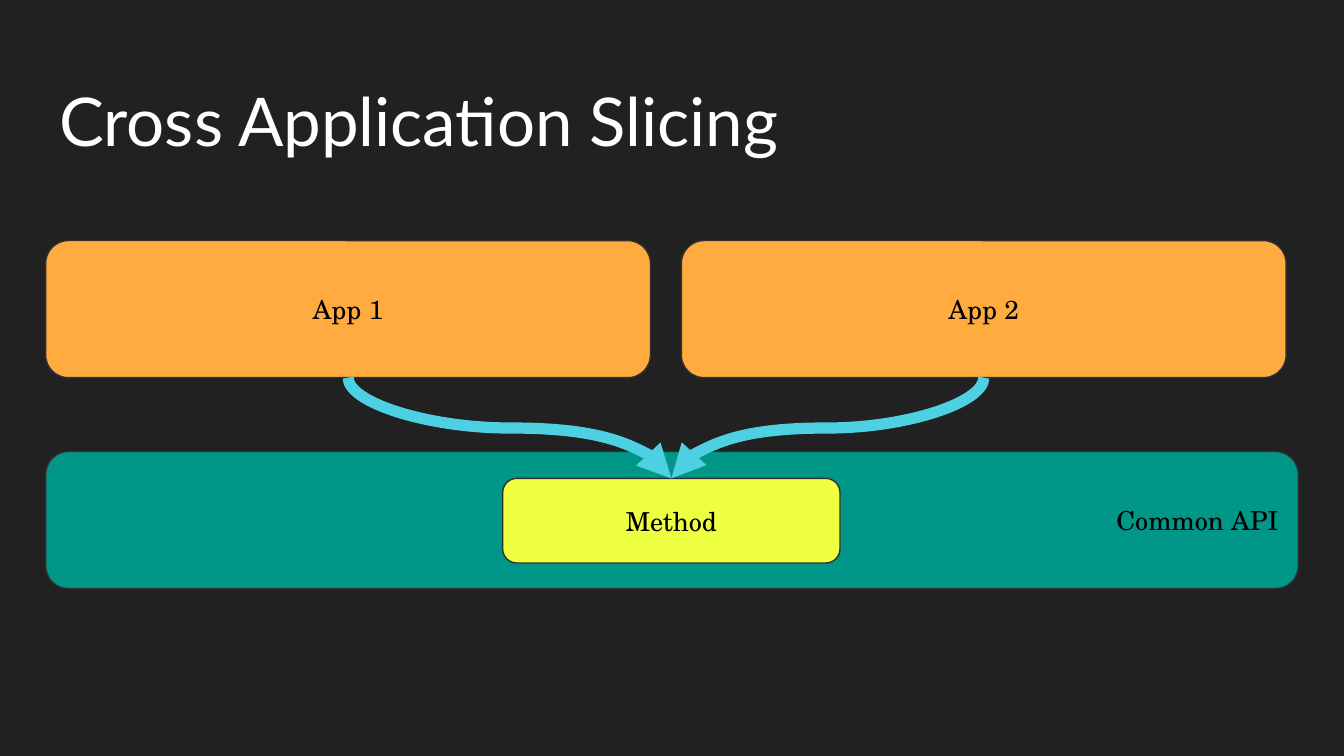
from lxml import etree
from pptx import Presentation
from pptx.dml.color import RGBColor
from pptx.enum.shapes import MSO_CONNECTOR, MSO_SHAPE
from pptx.enum.text import MSO_ANCHOR, MSO_AUTO_SIZE, PP_ALIGN
from pptx.oxml.ns import qn
from pptx.util import Inches, Pt

COLORS = {
    "background": "212121",
    "title": "FFFFFF",
    "text": "000000",
    "outline": "303030",
    "app": "FFAB40",
    "api": "009688",
    "method": "EEFF41",
    "arrow": "4DD0E1",
}


def color(name):
    return RGBColor.from_string(COLORS[name])


def write(shape, text, font_name, size, color_name, align, anchor):
    frame = shape.text_frame
    frame.text = text
    frame_format = {
        "word_wrap": True,
        "auto_size": MSO_AUTO_SIZE.NONE,
        "vertical_anchor": anchor,
        "margin_left": Inches(0.1),
        "margin_right": Inches(0.1),
        "margin_top": Inches(0.1),
        "margin_bottom": Inches(0.1),
    }
    for attribute, value in frame_format.items():
        setattr(frame, attribute, value)
    paragraph = frame.paragraphs[0]
    paragraph.alignment = align
    font = paragraph.runs[0].font
    for attribute, value in {"name": font_name, "size": Pt(size)}.items():
        setattr(font, attribute, value)
    font.color.rgb = color(color_name)


presentation = Presentation()
presentation.slide_width = Inches(10)
presentation.slide_height = Inches(10) * 9 // 16
slide = presentation.slides.add_slide(presentation.slide_layouts[5])
slide.background.fill.solid()
slide.background.fill.fore_color.rgb = color("background")

title = slide.shapes.title
title_box = {"left": 0.34, "top": 0.49, "width": 9.32, "height": 0.63}
for attribute, value in title_box.items():
    setattr(title, attribute, Inches(value))
write(title, "Cross Application Slicing", "Lato", 36, "title",
      PP_ALIGN.LEFT, MSO_ANCHOR.TOP)

boxes = [
    ("App 1", "app", 0.34, 1.79, 4.5, 1.02, PP_ALIGN.CENTER),
    ("Common API", "api", 0.34, 3.36, 9.32, 1.02, PP_ALIGN.RIGHT),
    ("App 2", "app", 5.07, 1.79, 4.5, 1.02, PP_ALIGN.CENTER),
    ("Method", "method", 3.74, 3.56, 2.51, 0.63, PP_ALIGN.CENTER),
]
shapes = {}
for text, fill_name, left, top, width, height, align in boxes:
    shape = slide.shapes.add_shape(
        MSO_SHAPE.ROUNDED_RECTANGLE,
        Inches(left), Inches(top), Inches(width), Inches(height))
    shape.shadow.inherit = False
    shape.fill.solid()
    shape.fill.fore_color.rgb = color(fill_name)
    shape.line.color.rgb = color("outline")
    shape.line.width = Pt(0.75)
    write(shape, text, "TeX Gyre Schola", 14, "text", align, MSO_ANCHOR.MIDDLE)
    shapes[text] = shape

method = shapes["Method"]
end_x, end_y = method.left + method.width // 2, method.top
for app_name, degrees, flip in [("App 1", 270, "1"), ("App 2", 90, "0")]:
    app = shapes[app_name]
    start_x, start_y = app.left + app.width // 2, app.top + app.height
    connector = slide.shapes.add_connector(
        MSO_CONNECTOR.CURVE, start_x, start_y, end_x, end_y)
    connector.begin_connect(app, 2)
    connector.end_connect(method, 0)

    across, down = abs(end_x - start_x), end_y - start_y
    turned_box = {
        "left": (start_x + end_x - down) // 2,
        "top": (start_y + end_y - across) // 2,
        "width": down,
        "height": across,
    }
    for attribute, value in turned_box.items():
        setattr(connector, attribute, value)
    properties = connector._element.spPr
    transform = properties.find(qn("a:xfrm"))
    transform.set("rot", str(degrees * 60000))
    transform.set("flipH", flip)

    connector.line.color.rgb = color("arrow")
    connector.line.width = Pt(6)
    line = properties.find(qn("a:ln"))
    etree.SubElement(line, qn("a:tailEnd"), type="triangle")
    etree.SubElement(properties, qn("a:effectLst"))

presentation.save("out.pptx")
